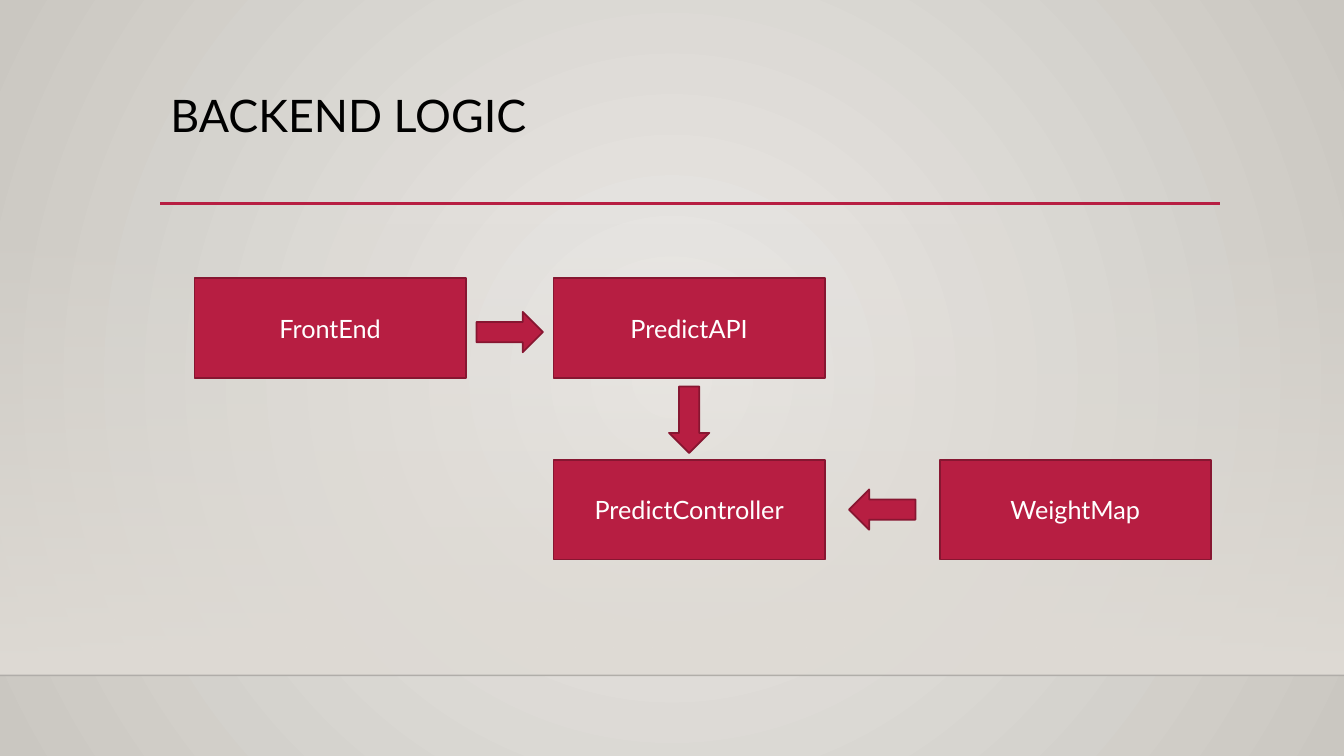
from lxml import etree
from pptx import Presentation
from pptx import util as u
from pptx.dml.color import RGBColor
from pptx.enum import shapes, text
from pptx.oxml.ns import qn

COLORS = {
    "centre": "ECEAE7", "edge": "CAC7C1", "floor": "DFDBD5", "horizon": "000001",
    "accent": "B71E42", "outline": "871631", "title": "000000", "label": "FFFFFF",
}
FONT = "Lato"
WIDTH, HEIGHT = 13.33, 7.5
COLUMNS = (1.93, 5.49, 9.32)
ROWS = (2.76, 4.56)
BOX_WIDTH, BOX_HEIGHT = 2.69, 0.99
ARROW_WIDTH, ARROW_HEIGHT = 0.66, 0.4
BOXES = {
    "FrontEnd": (0, 0),
    "PredictAPI": (1, 0),
    "PredictController": (1, 1),
    "WeightMap": (2, 1),
}
ARROWS = (
    ("FrontEnd", "PredictAPI", 0, 0.04),
    ("PredictAPI", "PredictController", 90, 0.01),
    ("WeightMap", "PredictController", 180, 0),
)


def inches(*lengths):
    """Convert lengths in inches to slide units."""
    return [u.Inches(length) for length in lengths]


def color(name):
    """Look up a named colour."""
    return RGBColor.from_string(COLORS[name])


def set_alpha(parent, percent):
    """Make the first colour under an element partly transparent."""
    srgb = next(parent.iter(qn("a:srgbClr")))
    etree.SubElement(srgb, qn("a:alpha"), val=str(percent * 1000))


def set_gradient(fill, start, end):
    """Give a fill a gradient of two colours."""
    fill.gradient()
    for stop, name, position in zip(fill.gradient_stops, (start, end), (0, 1)):
        stop.color.rgb = color(name)
        stop.position = position


def format_text(frame, size, name):
    """Set the font, size and colour of all runs in a frame."""
    for paragraph in frame.paragraphs:
        for run in paragraph.runs:
            run.font.name = FONT
            run.font.size = u.Pt(size)
            run.font.color.rgb = color(name)


def paint_background(slide):
    """Fill the background with a circular gradient."""
    set_gradient(slide.background.fill, "centre", "edge")
    gradient = next(slide.element.iter(qn("a:gradFill")))
    gradient.remove(gradient.find(qn("a:lin")))
    circle = etree.SubElement(gradient, qn("a:path"), path="circle")
    etree.SubElement(circle, qn("a:fillToRect"), l="50000", t="50000", r="50000", b="50000")


def add_floor(slide, top, bottom):
    """Add the band that fades in towards the horizon."""
    band = slide.shapes.add_shape(
        shapes.MSO_SHAPE.RECTANGLE, *inches(0, top, WIDTH, bottom - top))
    band.shadow.inherit = False
    band.line.fill.background()
    set_gradient(band.fill, "floor", "floor")
    band.fill.gradient_angle = 270
    set_alpha(band.element.spPr, 0)


def add_rule(slide, left, right, top, name, weight):
    """Add a horizontal line and return it."""
    rule = slide.shapes.add_connector(
        shapes.MSO_CONNECTOR.STRAIGHT, *inches(left, top, right, top))
    rule.line.color.rgb = color(name)
    rule.line.width = u.Pt(weight)
    etree.SubElement(rule.element.spPr, qn("a:effectLst"))
    return rule


def add_title(slide, wording):
    """Place and format the title placeholder."""
    title = slide.shapes.title
    title.left, title.top, title.width, title.height = inches(1.59, 0.88, 10.5, 1.15)
    frame = title.text_frame
    frame.text = wording
    frame.vertical_anchor = text.MSO_ANCHOR.TOP
    frame.paragraphs[0].alignment = text.PP_ALIGN.LEFT
    frame.paragraphs[0].line_spacing = 0.9
    format_text(frame, 32, "title")


def add_block(slide, kind, centre, width, height):
    """Add an accent shape around a centre and return it."""
    x, y = centre
    block = slide.shapes.add_shape(
        kind, *inches(x - width / 2, y - height / 2, width, height))
    block.shadow.inherit = False
    block.fill.solid()
    block.fill.fore_color.rgb = color("accent")
    block.line.color.rgb = color("outline")
    block.line.width = u.Pt(1.25)
    return block


def box_centre(label):
    """Find the centre of a box on the grid."""
    column, row = BOXES[label]
    return COLUMNS[column] + BOX_WIDTH / 2, ROWS[row] + BOX_HEIGHT / 2


def add_box(slide, label):
    """Add a labelled process box."""
    box = add_block(slide, shapes.MSO_SHAPE.FLOWCHART_PROCESS,
                    box_centre(label), BOX_WIDTH, BOX_HEIGHT)
    frame = box.text_frame
    frame.text = label
    frame.vertical_anchor = text.MSO_ANCHOR.MIDDLE
    frame.paragraphs[0].alignment = text.PP_ALIGN.CENTER
    format_text(frame, 18, "label")


def add_arrow(slide, source, target, rotation, drop):
    """Add a block arrow halfway between two boxes."""
    x, y = [(a + b) / 2 for a, b in zip(box_centre(source), box_centre(target))]
    arrow = add_block(slide, shapes.MSO_SHAPE.RIGHT_ARROW,
                      (x, y + drop), ARROW_WIDTH, ARROW_HEIGHT)
    arrow.rotation = rotation


def main():
    """Build the slide and save it."""
    presentation = Presentation()
    presentation.slide_width, presentation.slide_height = inches(WIDTH, HEIGHT)
    slide = presentation.slides.add_slide(presentation.slide_layouts[5])
    paint_background(slide)
    add_floor(slide, 2.21, 6.7)
    horizon = add_rule(slide, 0, WIDTH, 6.7, "horizon", 1)
    set_alpha(horizon.element.spPr, 20)
    add_rule(slide, 1.59, 12.1, 2.02, "accent", 2.5)
    add_title(slide, "BACKEND LOGIC")
    for label in BOXES:
        add_box(slide, label)
    for arrow in ARROWS:
        add_arrow(slide, *arrow)
    presentation.save("out.pptx")


main()
